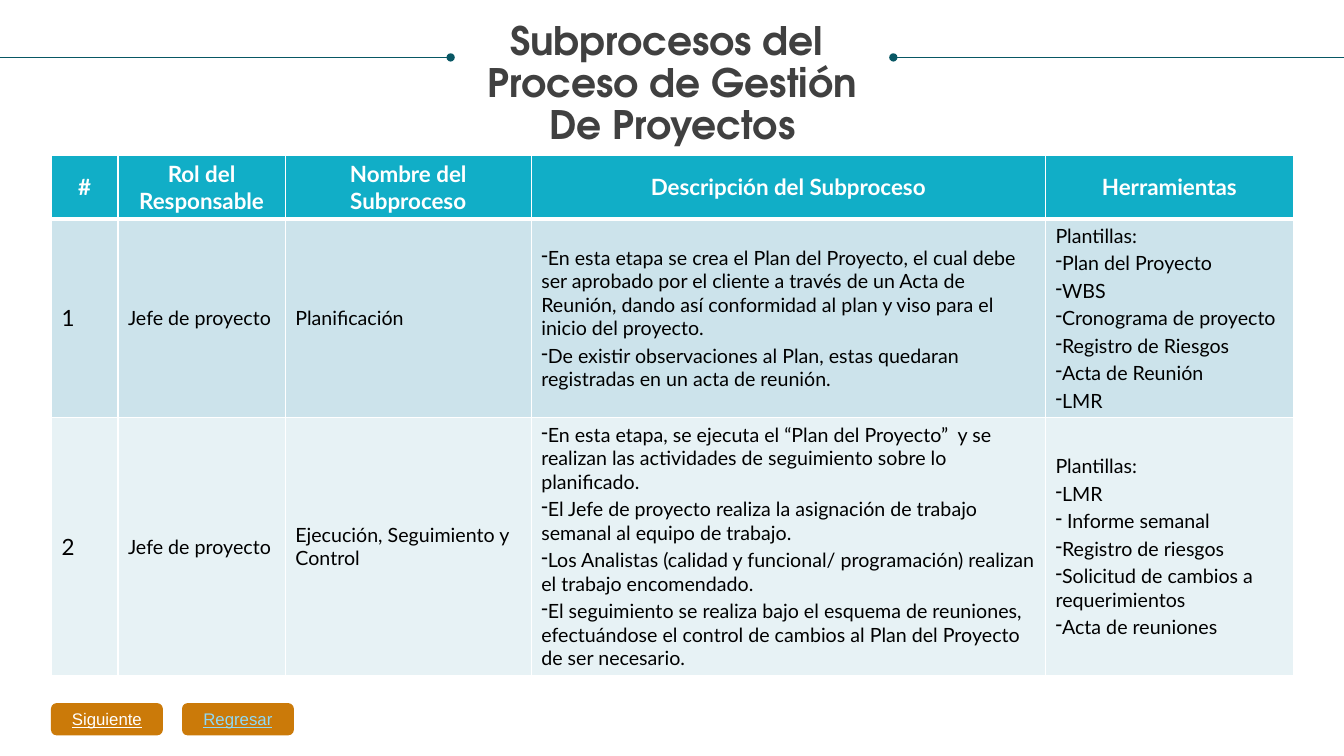
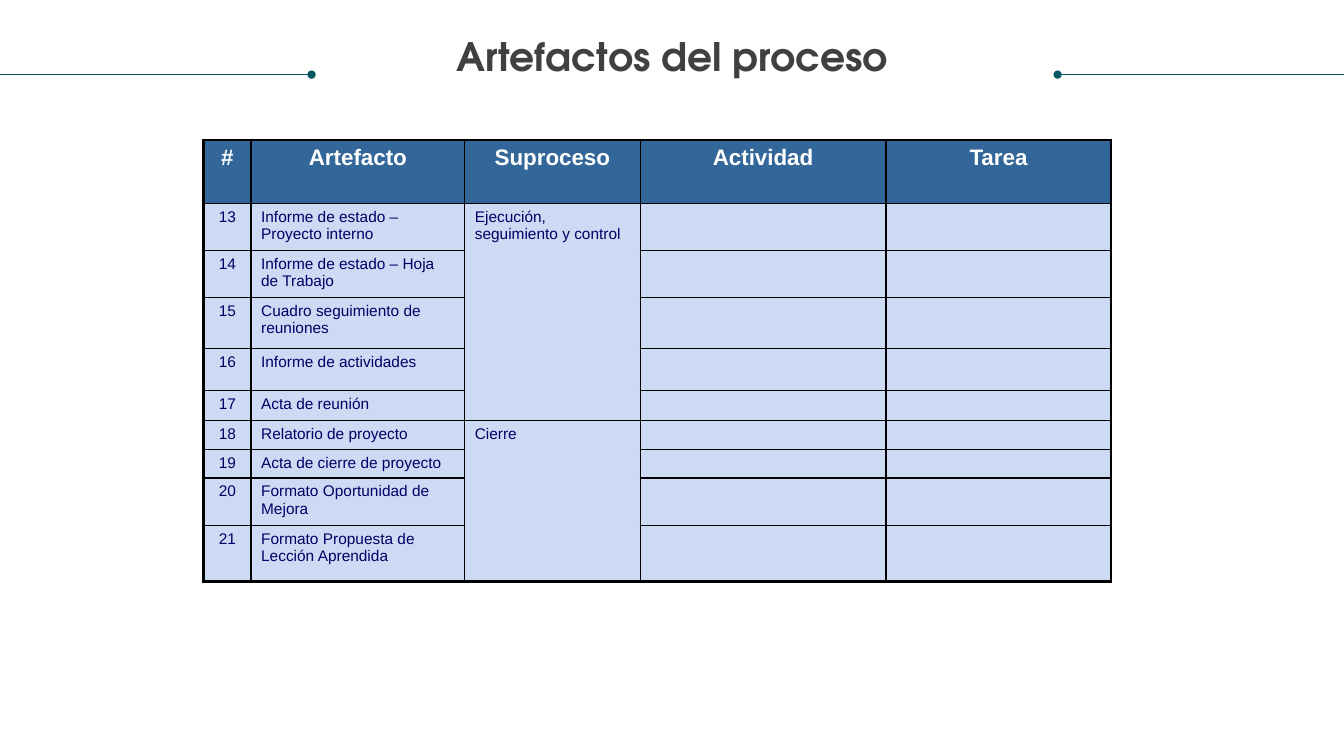
"""Build two slides about the subprocesses and artefacts of project management."""
from dataclasses import dataclass

import lxml.etree
import pptx
import pptx.dml.color
import pptx.enum.shapes
import pptx.enum.text
import pptx.oxml
import pptx.oxml.ns
import pptx.util

SLIDE_WIDTH = pptx.util.Inches(13.33)
SLIDE_HEIGHT = pptx.util.Inches(7.5)
TITLE_FONT, TITLE_COLOR, TITLE_SIZE = "TeX Gyre Adventor", "404040", 28
RULE_COLOR = "085764"
BUTTON_COLOR, BUTTON_FONT = "CB7A09", "Arial"
WHITE, BLACK = "FFFFFF", "000000"
CENTER = pptx.enum.text.PP_ALIGN.CENTER
LEFT = pptx.enum.text.PP_ALIGN.LEFT
TOP = pptx.enum.text.MSO_ANCHOR.TOP
MIDDLE = pptx.enum.text.MSO_ANCHOR.MIDDLE


@dataclass(frozen=True)
class Area:
    """A rectangle in percent of the slide's width and height."""
    left: float
    top: float
    width: float
    height: float


@dataclass(frozen=True)
class Heading:
    """A title and the two rules beside it."""
    text: str
    area: Area
    rule_top: float
    left_end: float
    right_start: float


@dataclass(frozen=True)
class Button:
    """A rounded navigation button."""
    text: str
    left: float
    color: str


@dataclass(frozen=True)
class TableStyle:
    """The look of one table; widths of lines and sizes of text in points."""
    font: str
    header_fill: str
    body_fills: tuple[str, ...]
    text_color: str
    border_color: str
    outer_width: float
    header_rule: float
    anchor: pptx.enum.text.MSO_ANCHOR
    number_align: pptx.enum.text.PP_ALIGN
    number_size: float
    body_size: float
    header_size: float = 16
    inner_width: float = 1


@dataclass(frozen=True)
class Grid:
    """The place, tracks and contents of one table."""
    area: Area
    columns: tuple[float, ...]
    rows: tuple[float, ...]
    cells: list[tuple[str, ...]]
    style: TableStyle
    merges: tuple[tuple[int, int, int], ...] = ()


def across(share: float) -> int:
    """Turn a percentage of the slide's width into a length."""
    return round(SLIDE_WIDTH * share / 100)


def down(share: float) -> int:
    """Turn a percentage of the slide's height into a length."""
    return round(SLIDE_HEIGHT * share / 100)


def place(area: Area) -> tuple[int, int, int, int]:
    """Return left, top, width and height as lengths."""
    return across(area.left), down(area.top), across(area.width), down(area.height)


def rgb(color: str) -> pptx.dml.color.RGBColor:
    """Turn a hex string into a colour."""
    return pptx.dml.color.RGBColor.from_string(color)


def add_child(parent, tag: str, **attributes: str):
    """Append one drawing element to a parent and return it."""
    child = lxml.etree.SubElement(parent, pptx.oxml.ns.qn(tag))
    for name, value in attributes.items():
        child.set(name, value)
    return child


def format_text(paragraph, font: str, size: float, color: str, bold: bool = False,
                underline: bool = False) -> None:
    """Format every run of a paragraph."""
    for span in paragraph.runs:
        span.font.name = font
        span.font.size = pptx.util.Pt(size)
        span.font.bold = bold
        span.font.underline = underline
        span.font.color.rgb = rgb(color)


def add_rule(page, start: float, end: float, top: float, dot: str) -> None:
    """Draw a level rule with a dot at its head or tail."""
    rule = page.shapes.add_connector(pptx.enum.shapes.MSO_CONNECTOR.STRAIGHT,
                                     across(start), down(top), across(end), down(top))
    rule.line.color.rgb = rgb(RULE_COLOR)
    rule.line.width = pptx.util.Pt(0.5)
    add_child(rule.line._get_or_add_ln(), dot, type="oval")
    add_child(rule._element.spPr, "a:effectLst")


def add_heading(page, heading: Heading) -> None:
    """Draw the title between its two rules."""
    add_rule(page, heading.right_start, 100, heading.rule_top, "a:headEnd")
    box = page.shapes.add_textbox(*place(heading.area))
    frame = box.text_frame
    frame.word_wrap = True
    frame.auto_size = pptx.enum.text.MSO_AUTO_SIZE.SHAPE_TO_FIT_TEXT
    frame.margin_left = frame.margin_right = frame.margin_top = frame.margin_bottom = 0
    frame.text = heading.text
    for para in frame.paragraphs:
        para.alignment = CENTER
        para.line_spacing = 0.9
        format_text(para, TITLE_FONT, TITLE_SIZE, TITLE_COLOR, bold=True)
    add_rule(page, 0, heading.left_end, heading.rule_top, "a:tailEnd")


def add_button(page, button: Button) -> None:
    """Draw one navigation button."""
    box = page.shapes.add_shape(
        pptx.enum.shapes.MSO_SHAPE.FLOWCHART_ALTERNATE_PROCESS,
        *place(Area(button.left, 93.07, 8.25, 4.13)))
    box.shadow.inherit = False
    box.fill.solid()
    box.fill.fore_color.rgb = rgb(BUTTON_COLOR)
    box.line.color.rgb = rgb(BUTTON_COLOR)
    box.line.width = pptx.util.Pt(0.75)
    box.text_frame.word_wrap = False
    box.text_frame.vertical_anchor = MIDDLE
    box.text_frame.text = button.text
    para = box.text_frame.paragraphs[0]
    para.alignment = CENTER
    format_text(para, BUTTON_FONT, 12, button.color, underline=True)


def add_borders(cell, color: str, widths: dict[str, float]) -> None:
    """Give a cell its four border lines."""
    properties = cell._tc.get_or_add_tcPr()
    for tag, width in widths.items():
        line = add_child(properties, tag, w=str(pptx.util.Pt(width)))
        add_child(add_child(line, "a:solidFill"), "a:srgbClr", val=color)


def fill_cell(cell, text: str, style: TableStyle, row: int, column: int) -> None:
    """Write and format a cell; lines that begin with a dash become bullets."""
    header = row == 0
    number = column == 0
    size = style.number_size if number else style.body_size
    align = style.number_align if number else LEFT
    if header:
        size, align = style.header_size, CENTER
    cell.vertical_anchor = style.anchor
    cell.text_frame.text = text
    for para in cell.text_frame.paragraphs:
        bullet = para.text.startswith("-")
        if bullet:
            para.text = para.text[1:]
        para.alignment = align
        properties = para._p.get_or_add_pPr()
        add_child(add_child(properties, "a:spcBef"), "a:spcPct", val="20000")
        if bullet:
            properties.set("marL", "0")
            properties.set("indent", "0")
            add_child(properties, "a:buChar", char="-")
        format_text(para, style.font, size, WHITE if header else style.text_color, header)
        if not para.runs:
            add_child(para._p, "a:endParaRPr", sz=str(round(size * 100)))


def add_grid(page, grid: Grid) -> None:
    """Draw a table with its merges, borders, fills and text."""
    style = grid.style
    last_row, last_column = len(grid.rows) - 1, len(grid.columns) - 1
    table = page.shapes.add_table(len(grid.rows), len(grid.columns), *place(grid.area)).table
    table.first_row = table.horz_banding = False
    for track, share in zip(table.columns, grid.columns):
        track.width = across(share)
    for track, share in zip(table.rows, grid.rows):
        track.height = down(share)
    for column, first, last in grid.merges:
        table.cell(first, column).merge(table.cell(last, column))
    for row, texts in enumerate(grid.cells):
        for column, text in enumerate(texts):
            cell = table.cell(row, column)
            if not cell.is_spanned:
                bottom = row + cell.span_height - 1
                above = {0: style.outer_width, 1: style.header_rule}
                below = {0: style.header_rule, last_row: style.outer_width}
                inner, outer = style.inner_width, style.outer_width
                add_borders(cell, style.border_color, {
                    "a:lnL": outer if column == 0 else inner,
                    "a:lnR": outer if column == last_column else inner,
                    "a:lnT": above.get(row, inner),
                    "a:lnB": below.get(bottom, inner)})
            fills = style.body_fills
            cell.fill.solid()
            cell.fill.fore_color.rgb = rgb(
                fills[(row - 1) % len(fills)] if row else style.header_fill)
            fill_cell(cell, text, style, row, column)


SUBPROCESSES = Grid(
    Area(3.83, 20.53, 92.42, 69.47), (4.95, 12.45, 18.3, 38.26, 18.45), (6.53, 21.33, 34.13),
    [("#", "Rol del Responsable", "Nombre del Subproceso", "Descripción del Subproceso",
      "Herramientas"),
     ("1", "Jefe de proyecto", "Planificación",
      "-En esta etapa se crea el Plan del Proyecto, el cual debe ser aprobado por el cliente a "
      "través de un Acta de Reunión, dando así conformidad al plan y viso para el inicio del "
      "proyecto.\n"
      "-De existir observaciones al Plan, estas quedaran registradas en un acta de reunión.",
      "Plantillas:\n-Plan del Proyecto\n-WBS\n-Cronograma de proyecto\n"
      "-Registro de Riesgos\n-Acta de Reunión\n-LMR"),
     ("2", "Jefe de proyecto", "Ejecución, Seguimiento y Control ",
      "-En esta etapa, se ejecuta el “Plan del Proyecto”  y se realizan las actividades de "
      "seguimiento sobre lo planificado.\n"
      "-El Jefe de proyecto realiza la asignación de trabajo semanal al equipo de trabajo.\n"
      "-Los Analistas (calidad y funcional/ programación) realizan el trabajo encomendado.\n"
      "-El seguimiento se realiza bajo el esquema de reuniones, efectuándose el control de "
      "cambios al Plan del Proyecto de ser necesario.",
      "Plantillas:\n-LMR\n- Informe semanal\n-Registro de riesgos\n"
      "-Solicitud de cambios a requerimientos\n-Acta de reuniones")],
    TableStyle("Lato", "11AEC7", ("CCE3EB", "E7F2F5"), BLACK, WHITE, 1, 3, MIDDLE, LEFT, 16, 14))

ARTEFACT_NAMES = (
    "Informe de estado – Proyecto interno", "Informe de estado – Hoja de Trabajo",
    "Cuadro seguimiento de reuniones", "Informe de actividades", "Acta de reunión",
    "Relatorio de proyecto", "Acta de cierre de proyecto", "Formato Oportunidad de Mejora",
    "Formato Propuesta de Lección Aprendida")
STAGES = {13: "Ejecución, seguimiento y control", 18: "Cierre"}
ARTEFACTS = Grid(
    Area(15.15, 18.53, 67.52, 58.4), (3.53, 15.9, 13.05, 18.3, 16.73),
    (8.4, 5.6, 4.93, 6.67, 5.6, 4, 3.73, 3.73, 6.27, 7.47),
    [("#", "Artefacto", "Suproceso", "Actividad", "Tarea")]
    + [(str(number), name, STAGES.get(number, ""), "", "")
       for number, name in enumerate(ARTEFACT_NAMES, start=13)],
    TableStyle("Arial", "336699", ("CDDAF3",), "000066", BLACK, 2.25, 1, TOP, CENTER, 11, 11),
    merges=((2, 1, 5), (2, 6, 9)))

SUBPROCESS_HEADING = Heading("Subprocesos del \nProceso de Gestión\nDe Proyectos",
                             Area(1.88, 2.8, 96.25, 22.67), 7.6, 33.53, 66.47)
ARTEFACT_HEADING = Heading("Artefactos del proceso",
                           Area(1.88, 4.93, 96.25, 5.6), 9.87, 23.18, 78.69)
BUTTONS = (Button("Siguiente", 3.83, WHITE), Button("Regresar", 13.58, "8ED9F6"))


def main() -> None:
    """Build and save the deck."""
    deck = pptx.Presentation()
    deck.slide_width, deck.slide_height = SLIDE_WIDTH, SLIDE_HEIGHT
    for heading, grid, buttons in ((SUBPROCESS_HEADING, SUBPROCESSES, BUTTONS),
                                   (ARTEFACT_HEADING, ARTEFACTS, ())):
        page = deck.slides.add_slide(deck.slide_layouts[6])
        add_heading(page, heading)
        add_grid(page, grid)
        for button in buttons:
            add_button(page, button)
    deck.save("out.pptx")


main()
